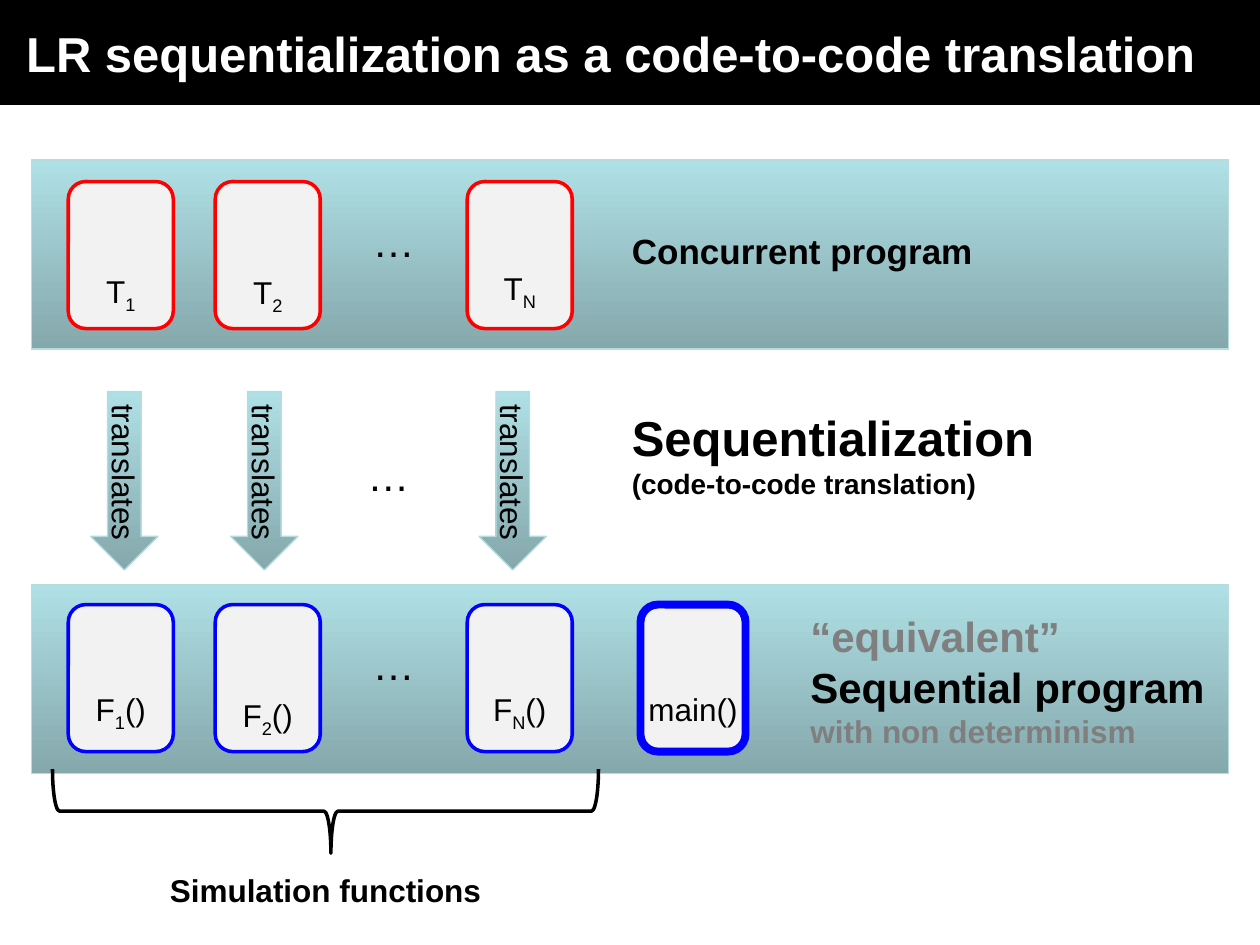
from pptx import Presentation
from pptx import util as u
from pptx.dml.color import RGBColor
from pptx.enum import shapes, text

Pt = u.Pt
BLACK = RGBColor(0x00, 0x00, 0x00)
WHITE = RGBColor(0xFF, 0xFF, 0xFF)
GRAY = RGBColor(0x7F, 0x7F, 0x7F)
PALE = RGBColor(0xF2, 0xF2, 0xF2)
RED = RGBColor(0xFF, 0x00, 0x00)
BLUE = RGBColor(0x00, 0x00, 0xFF)
TEAL_LIGHT = RGBColor(0xAF, 0xE0, 0xE5)
TEAL_DARK = RGBColor(0x85, 0xA8, 0xAC)
TEAL_EDGE = RGBColor(0xB6, 0xDC, 0xE0)
LEFT, CENTER = text.PP_ALIGN.LEFT, text.PP_ALIGN.CENTER
KIND = shapes.MSO_SHAPE

prs = Presentation()
prs.slide_width, prs.slide_height = Pt(720), Pt(540)
slide = prs.slides.add_slide(prs.slide_layouts[6])


def draw(kind, x, y, w, h, fill=None, edge=None, weight=0.75, angle=270):
    shape = slide.shapes.add_shape(kind, Pt(x), Pt(y), Pt(w), Pt(h))
    shape.shadow.inherit = False
    if fill == TEAL_LIGHT:
        shape.fill.gradient()
        shape.fill.gradient_angle = angle
        for stop, color, place in zip(shape.fill.gradient_stops, (TEAL_LIGHT, TEAL_DARK), (0, 1)):
            stop.color.rgb = color
            stop.position = place
    elif fill is not None:
        shape.fill.solid()
        shape.fill.fore_color.rgb = fill
    else:
        shape.fill.background()
    if edge is not None:
        shape.line.color.rgb = edge
        shape.line.width = Pt(weight)
    else:
        shape.line.fill.background()
    return shape


def write(x, y, w, h, lines, align=LEFT, bold=False, holder=None):
    holder = holder or slide.shapes.add_textbox(Pt(x), Pt(y), Pt(w), Pt(h))
    frame = holder.text_frame
    frame.word_wrap = False
    for i, (parts, size, color) in enumerate(lines):
        line = frame.add_paragraph() if i else frame.paragraphs[0]
        line.alignment = align
        line.font.name, line.font.size = "Arial", Pt(size)
        line.font.bold, line.font.color.rgb = bold, color
        for j, part in enumerate(parts):
            run = line.add_run()
            run.text = part
            if j == 1:
                run._r.get_or_add_rPr().set("baseline", "-25000")
    return frame


for band_top in (334, 91.5):
    draw(KIND.RECTANGLE, 18, band_top, 684, 108, TEAL_LIGHT, TEAL_EDGE)

columns = (39, 123, 267)
threads = (103.75, RED, "T", (), (152, 152.5, 150))
functions = (345.5, BLUE, "F", ("()",), (391, 394, 391))
for top, edge, letter, ending, label_tops in (threads, functions):
    for left, index, label_top in zip(columns, "12N", label_tops):
        draw(KIND.ROUNDED_RECTANGLE, left, top, 60, 84, PALE, edge, 2)
        write(left + 6, label_top, 48, 29, [((letter, index) + ending, 18, BLACK)], CENTER)

draw(KIND.ROUNDED_RECTANGLE, 366, 345.5, 60, 84, PALE, BLUE, 4.5)
write(363, 391, 66, 29, [(("main()",), 18, BLACK)], CENTER)

for left, top in ((183, 119.5), (180, 253.5), (183, 361.5)):
    write(left, top, 84, 36.5, [(("…",), 24, BLACK)], CENTER)

write(354, 127.5, 340, 31.5, [(("Concurrent program",), 20, BLACK)], bold=True)
write(354, 229.5, 340, 60.5, [
    (("Sequentialization",), 28, BLACK),
    (("(code-to-code translation)",), 16, BLACK),
], bold=True)
write(456, 345.5, 246, 86, [
    (("“equivalent”",), 24, GRAY),
    (("Sequential program",), 24, BLACK),
    (("with non determinism",), 18, GRAY),
], bold=True)
write(90, 494, 260, 29, [(("Simulation functions",), 18, BLACK)], bold=True)

brace = draw(KIND.LEFT_BRACE, 162, 307.5, 48, 312, edge=BLACK, weight=2)
brace.rotation = 270
brace.adjustments[1] = 0.51

for middle in (71, 151, 293):
    arrow = draw(KIND.RIGHT_ARROW, middle - 51, 255.5, 102, 38.5, TEAL_LIGHT, TEAL_EDGE, angle=0)
    arrow.rotation = 90
    write(0, 0, 0, 0, [(("translates",), 18, BLACK)], CENTER, holder=arrow)

title = draw(KIND.RECTANGLE, 0, 0, 720, 60, BLACK)
heading = write(0, 0, 0, 0, [
    (("LR sequentialization as a code-to-code translation",), 28, WHITE),
], bold=True, holder=title)
heading.margin_left = Pt(15)
heading.word_wrap = True

prs.save("out.pptx")
